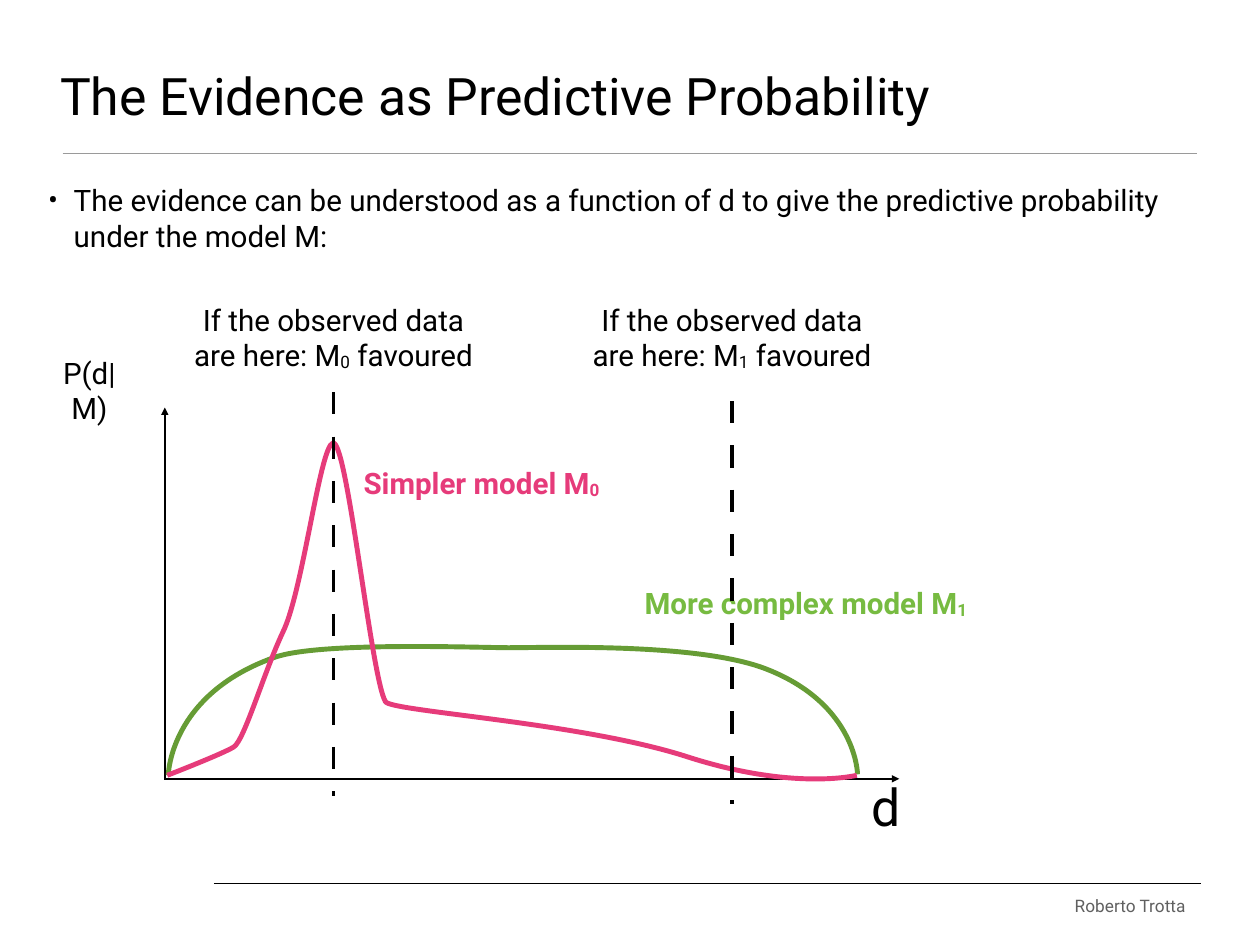
from lxml import etree
from pptx import Presentation
from pptx import util as u
from pptx.dml.color import RGBColor
from pptx.enum import shapes, text
from pptx.oxml.ns import qn

BLACK = RGBColor(0x00, 0x00, 0x00)
RULE_GREY = RGBColor(0x9A, 0x9A, 0x9A)
FOOTER_GREY = RGBColor(0x60, 0x60, 0x60)
PINK = RGBColor(0xE6, 0x3B, 0x7A)
CURVE_GREEN = RGBColor(0x66, 0x9C, 0x35)
LABEL_GREEN = RGBColor(0x77, 0xBB, 0x41)
FONT = "Roboto"

# The slide is a grid of 64 columns by 48 rows; all places are in cells
WIDTH, HEIGHT = u.Inches(14.22), u.Inches(10.67)
COLUMNS, ROWS = 64, 48
LEFT, CENTER = text.PP_ALIGN.LEFT, text.PP_ALIGN.CENTER
TOP, BOTTOM = text.MSO_ANCHOR.TOP, text.MSO_ANCHOR.BOTTOM

# Content: runs (text, is subscript), cell box, size, colour, bold, alignment, anchor, wrap
BULLET = ("The evidence can be understood as a function of d to give "
          "the predictive probability under the model M:")
TITLE = ([("The Evidence as Predictive Probability", False)],
         (2.78, 0, 58.4, 6.67), 42, BLACK, False, LEFT, BOTTOM, True)
BODY = ([(BULLET, False)], (2.17, 9, 59.6, 5.7), 24, BLACK, False, LEFT, TOP, True)
LABELS = [
    ([("Roberto Trotta", False)], (54.32, 45.2, 6.2, 1.6),
     14, FOOTER_GREY, False, LEFT, BOTTOM, False),
    ([("More complex model M", False), ("1", True)], (32.47, 29.52, 17.96, 2.25),
     24, LABEL_GREEN, True, LEFT, BOTTOM, False),
    ([("Simpler model M", False), ("0", True)], (18.2, 23.44, 13.23, 2.25),
     24, PINK, True, LEFT, BOTTOM, False),
    ([("P(d|M)", False)], (2.74, 17.78, 3.6, 4.1), 24, BLACK, False, CENTER, BOTTOM, True),
    ([("d", False)], (44.01, 39.1, 2.07, 3.65), 42, BLACK, False, LEFT, BOTTOM, False),
]

# Observed data: column, first row and last row of the marker, favoured model
OBSERVATIONS = [(16.94, 19.92, 40.44, "0"), (37.18, 20.37, 40.86, "1")]
CAPTION_TOP, CAPTION_WIDTH, CAPTION_HEIGHT = 15.1, 15.66, 4.1

# Lines: start and end cells, colour, width in points
RULES = [((3.18, 7.81), (60.8, 7.81), RULE_GREY, 1),
         ((10.87, 44.87), (61.02, 44.87), BLACK, 0.5)]
AXES = [((8.37, 39.6), (8.37, 20.7), BLACK, 2),
        ((8.37, 39.56), (45.68, 39.56), BLACK, 2)]

# Curves: start cell, then two control cells and an end cell for each cubic piece
COMPLEX_MODEL = [
    (8.55, 39.38),
    (8.55, 39.38), (8.6, 35.28), (13.95, 33.39),
    (16.2, 32.58), (24.39, 32.9), (25.83, 32.9),
    (27.9, 32.9), (35.6, 32.63), (39.02, 34.02),
    (43.52, 35.82), (43.56, 39.33), (43.56, 39.33),
]
SIMPLER_MODEL = [
    (8.5, 39.38),
    (8.5, 39.38), (11.3, 38.3), (11.88, 37.94),
    (12.42, 37.58), (13.37, 34.25), (14.36, 32.13),
    (15.39, 30.06), (16.25, 22.64), (16.92, 22.5),
    (17.64, 22.37), (18.86, 34.43), (19.58, 35.64),
    (19.85, 36.14), (29.43, 36.68), (34.88, 38.43),
    (40.32, 40.19), (43.52, 39.38), (43.52, 39.38),
]


def across(columns):
    return round(WIDTH * columns / COLUMNS)


def down(rows):
    return round(HEIGHT * rows / ROWS)


def add_label(slide, runs, box, size, color, bold, align, anchor, wrap, bullet=False):
    left, top, width, height = box
    shape = slide.shapes.add_textbox(across(left), down(top), across(width), down(height))
    frame = shape.text_frame
    frame.word_wrap = wrap
    frame.vertical_anchor = anchor
    frame.margin_left = frame.margin_right = u.Inches(0.06)
    frame.margin_top = frame.margin_bottom = u.Inches(0.06)
    paragraph = frame.paragraphs[0]
    paragraph.alignment = align
    if bullet:
        properties = paragraph._p.get_or_add_pPr()
        indent = u.Inches(0.29)
        properties.set("marL", str(indent))
        properties.set("indent", str(-indent))
        etree.SubElement(properties, qn("a:buFont")).set("typeface", FONT)
        etree.SubElement(properties, qn("a:buChar")).set("char", "•")
    for words, is_subscript in runs:
        run = paragraph.add_run()
        run.text = words
        run.font.name, run.font.size, run.font.bold = FONT, u.Pt(size), bold
        run.font.color.rgb = color
        if is_subscript:
            run.font._element.set("baseline", "-6000")


def add_line(slide, start, end, color, width, arrow=False, dashed=False):
    line = slide.shapes.add_connector(
        shapes.MSO_CONNECTOR.STRAIGHT,
        across(start[0]), down(start[1]), across(end[0]), down(end[1]))
    line.line.color.rgb = color
    line.line.width = u.Pt(width)
    outline = line.line._get_or_add_ln()
    if dashed:
        dash = etree.SubElement(etree.SubElement(outline, qn("a:custDash")), qn("a:ds"))
        dash.set("d", "600000")
        dash.set("sp", "600000")
    if arrow:
        etree.SubElement(outline, qn("a:tailEnd")).set("type", "triangle")
    etree.SubElement(line._element.spPr, qn("a:effectLst"))


def add_curve(slide, cells, color):
    points = [(across(x), down(y)) for x, y in cells]
    builder = slide.shapes.build_freeform(*points[0])
    builder.add_line_segments(points[3::3], close=False)
    curve = builder.convert_to_shape()
    # Bend each straight segment into a cubic with its two control points
    segments = list(curve._element.iter(qn("a:lnTo")))
    for piece, segment in enumerate(segments):
        segment.tag = qn("a:cubicBezTo")
        controls = points[3 * piece + 1:3 * piece + 3]
        for position, (x, y) in enumerate(controls):
            control = etree.Element(qn("a:pt"))
            control.set("x", str(x - curve.left))
            control.set("y", str(y - curve.top))
            segment.insert(position, control)
    curve.shadow.inherit = False
    curve.fill.background()
    curve.line.color.rgb = color
    curve.line.width = u.Pt(4)


def main():
    presentation = Presentation()
    presentation.slide_width, presentation.slide_height = WIDTH, HEIGHT
    slide = presentation.slides.add_slide(presentation.slide_layouts[6])

    # Heading, bullet and rules
    for rule in RULES:
        add_line(slide, *rule)
    add_label(slide, *TITLE)
    add_label(slide, *BODY, bullet=True)

    # Axes, curves and labels
    for axis in AXES:
        add_line(slide, *axis, arrow=True)
    add_curve(slide, COMPLEX_MODEL, CURVE_GREEN)
    add_curve(slide, SIMPLER_MODEL, PINK)
    for label in LABELS:
        add_label(slide, *label)

    # Observed data markers, each with a caption centred above it
    for column, first_row, last_row, model in OBSERVATIONS:
        add_line(slide, (column, first_row), (column, last_row), BLACK, 3, dashed=True)
        runs = [("If the observed data are here: M", False), (model, True), (" favoured", False)]
        box = (column - CAPTION_WIDTH / 2, CAPTION_TOP, CAPTION_WIDTH, CAPTION_HEIGHT)
        add_label(slide, runs, box, 24, BLACK, False, CENTER, BOTTOM, True)

    presentation.save("out.pptx")


if __name__ == "__main__":
    main()
